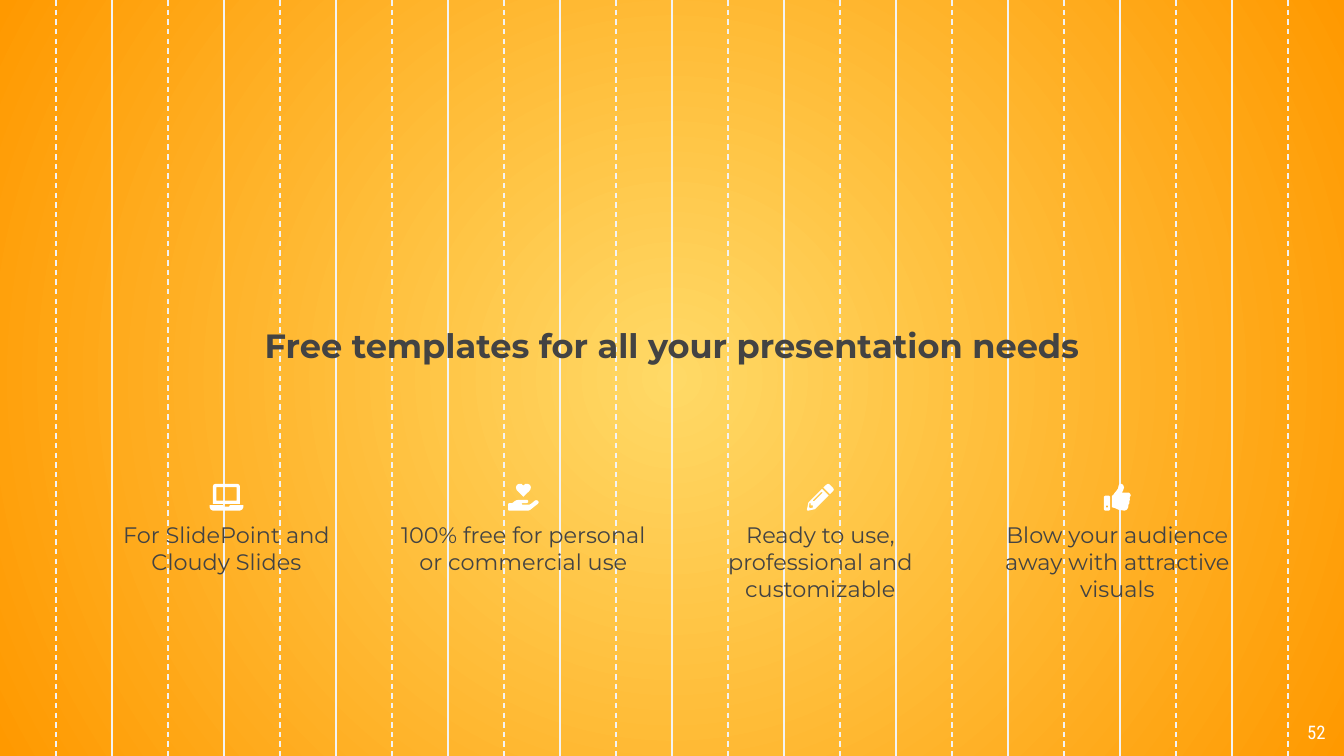
from lxml import etree
from pptx import Presentation
from pptx.dml.color import RGBColor
from pptx.enum.dml import MSO_LINE
from pptx.enum.shapes import MSO_CONNECTOR
from pptx.enum.text import PP_ALIGN
from pptx.oxml import parse_xml
from pptx.oxml.ns import nsdecls, qn
from pptx.util import Pt

DASH = MSO_LINE.DASH
LINE = MSO_CONNECTOR.STRAIGHT
MID, RIGHT = PP_ALIGN.CENTER, PP_ALIGN.RIGHT
WIDE, HIGH = 720, 405

LAPTOP = [
    [(18, 108), (18, 14), (22, 4), (32, 0), (148, 0), (158, 4), (163, 14),
     (163, 108)],
    [(36, 18), (36, 90), (145, 90), (145, 18)],
    [(0, 115), (72, 115), (76, 123), (105, 123), (109, 115), (181, 115),
     (181, 126), (175, 138), (163, 144), (18, 144), (6, 138), (0, 126)],
]
HAND = [
    [(82, 10), (92, 1), (105, 0), (117, 6), (122, 18), (119, 32), (112, 40),
     (82, 70), (52, 40), (45, 32), (42, 18), (47, 6), (59, 0), (72, 1)],
    [(58, 86), (45, 88), (34, 94), (22, 104), (4, 104), (0, 108), (0, 140),
     (4, 144), (108, 144), (118, 140), (160, 107), (164, 98), (158, 90),
     (149, 88), (142, 91), (122, 108), (114, 112), (76, 112), (72, 108),
     (76, 104), (98, 104), (107, 100), (108, 92), (102, 86)],
]
PENCIL = [
    [(113, 0), (105, 4), (88, 20), (124, 56), (140, 40), (144, 32), (140, 22),
     (122, 4)],
    [(81, 27), (8, 100), (0, 138), (2, 143), (7, 144), (44, 136), (117, 63)],
    [(75, 45), (82, 44), (83, 49), (39, 93), (32, 94), (32, 88)],
    [(20, 104), (20, 116), (32, 116), (32, 128), (17, 131), (10, 124),
     (14, 104)],
]
THUMB = [
    [(7, 64), (0, 70), (0, 138), (6, 144), (27, 144), (34, 138), (34, 70),
     (28, 64)],
    [(17, 115), (24, 122), (17, 129), (10, 122)],
    [(86, 0), (80, 6), (76, 24), (70, 35), (60, 46), (50, 60), (43, 65),
     (43, 126), (58, 130), (80, 140), (110, 144), (122, 140), (130, 128),
     (132, 112), (137, 104), (137, 92), (140, 84), (138, 76), (144, 62),
     (140, 52), (132, 47), (97, 47), (104, 34), (108, 20), (104, 7),
     (95, 0)],
]
ITEMS = [
    (LAPTOP, "For SlidePoint and Cloudy Slides"),
    (HAND, "100% free for personal or commercial use"),
    (PENCIL, "Ready to use, professional and customizable"),
    (THUMB, "Blow your audience away with attractive visuals"),
]


def paint(code):
    return RGBColor.from_string(code)


class Deck:
    dark, white, rule = "434343", "FFFFFF", "F3F3F3"
    font = "Montserrat"

    def __init__(self, slide):
        self.slide = slide
        self.shapes = slide.shapes

    def glow(self, core, edge):
        fill = self.slide.background.fill
        fill.gradient()
        for stop, code, pos in zip(fill.gradient_stops, (core, edge), (0, 1)):
            stop.color.rgb = paint(code)
            stop.position = pos
        grad = self.slide.element.find(".//" + qn("a:gradFill"))
        grad.replace(grad.find(qn("a:lin")), parse_xml(
            f'<a:path {nsdecls("a")} path="circle"><a:fillToRect '
            'l="50000" t="50000" r="50000" b="50000"/></a:path>'))

    def stripe(self, left, dash=None):
        line = self.shapes.add_connector(
            LINE, Pt(left), 0, Pt(left), Pt(HIGH))
        line.line.color.rgb = paint(self.rule)
        line.line.width = Pt(0.75)
        if dash:
            line.line.dash_style = dash
        props = line.element.find(qn("p:spPr"))
        etree.SubElement(props, qn("a:effectLst"))

    def text(self, words, box, size=12, color=dark, font=font, bold=False,
             align=MID, inset=0):
        frame = self.shapes.add_textbox(*map(Pt, box)).text_frame
        frame.word_wrap = True
        frame.margin_left = frame.margin_right = Pt(inset)
        frame.margin_top = frame.margin_bottom = Pt(inset)
        para = frame.paragraphs[0]
        para.alignment = align
        run = para.add_run()
        run.text = words
        run.font.name = font
        run.font.size = Pt(size)
        run.font.bold = bold
        run.font.color.rgb = paint(color)

    def icon(self, parts, mid, top):
        width = max(x for part in parts for x, _ in part) / 10
        first, *rest = parts
        pen = self.shapes.build_freeform(*first[0], scale=Pt(0.1))
        pen.add_line_segments(first[1:])
        for part in rest:
            pen.move_to(*part[0])
            pen.add_line_segments(part[1:])
        shape = pen.convert_to_shape(Pt(mid - width / 2), Pt(top))
        shape.fill.solid()
        shape.fill.fore_color.rgb = paint(self.white)
        shape.line.fill.background()
        shape.shadow.inherit = False


def main():
    show = Presentation()
    show.slide_width, show.slide_height = Pt(WIDE), Pt(HIGH)
    deck = Deck(show.slides.add_slide(show.slide_layouts[6]))
    deck.glow("FFD966", "FF9900")
    for left in range(60, WIDE, 60):
        deck.stripe(left)
    for left in range(30, WIDE, 60):
        deck.stripe(left, DASH)
    deck.text("Free templates for all your presentation needs",
              (87, 174.2, 546, 21), size=18, bold=True)
    width, pitch = 133.2, 159.1
    for col, (parts, words) in enumerate(ITEMS):
        left = 54.7 + col * pitch
        deck.text(words, (left, 279.4, width, 50.4))
        deck.icon(parts, left + width / 2, 259.2)
    deck.text("52", (674, 380, 43.2, 25), size=10, color=deck.white,
              font="Roboto Condensed", align=RIGHT, inset=7.2)
    show.save("out.pptx")


if __name__ == "__main__":
    main()
